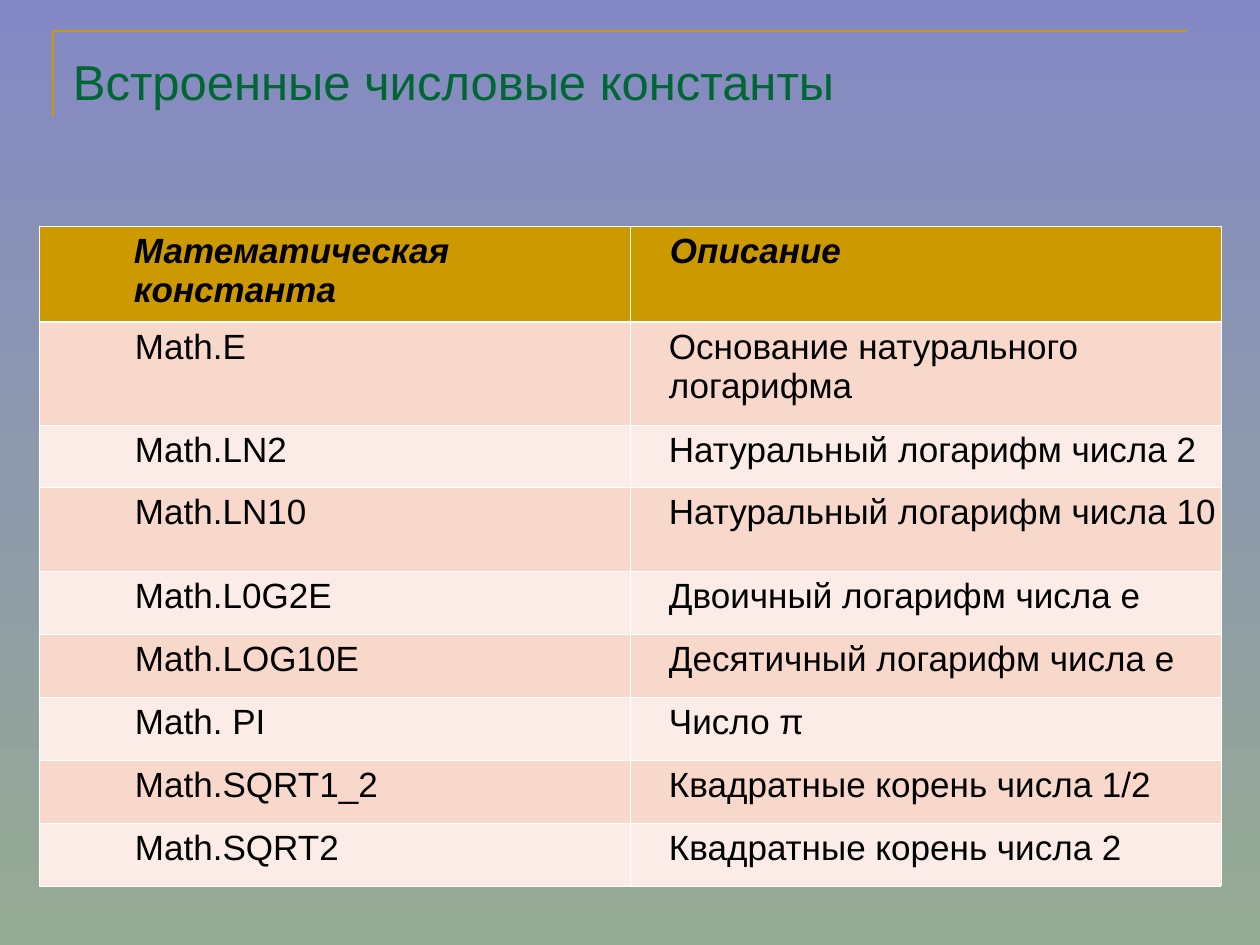
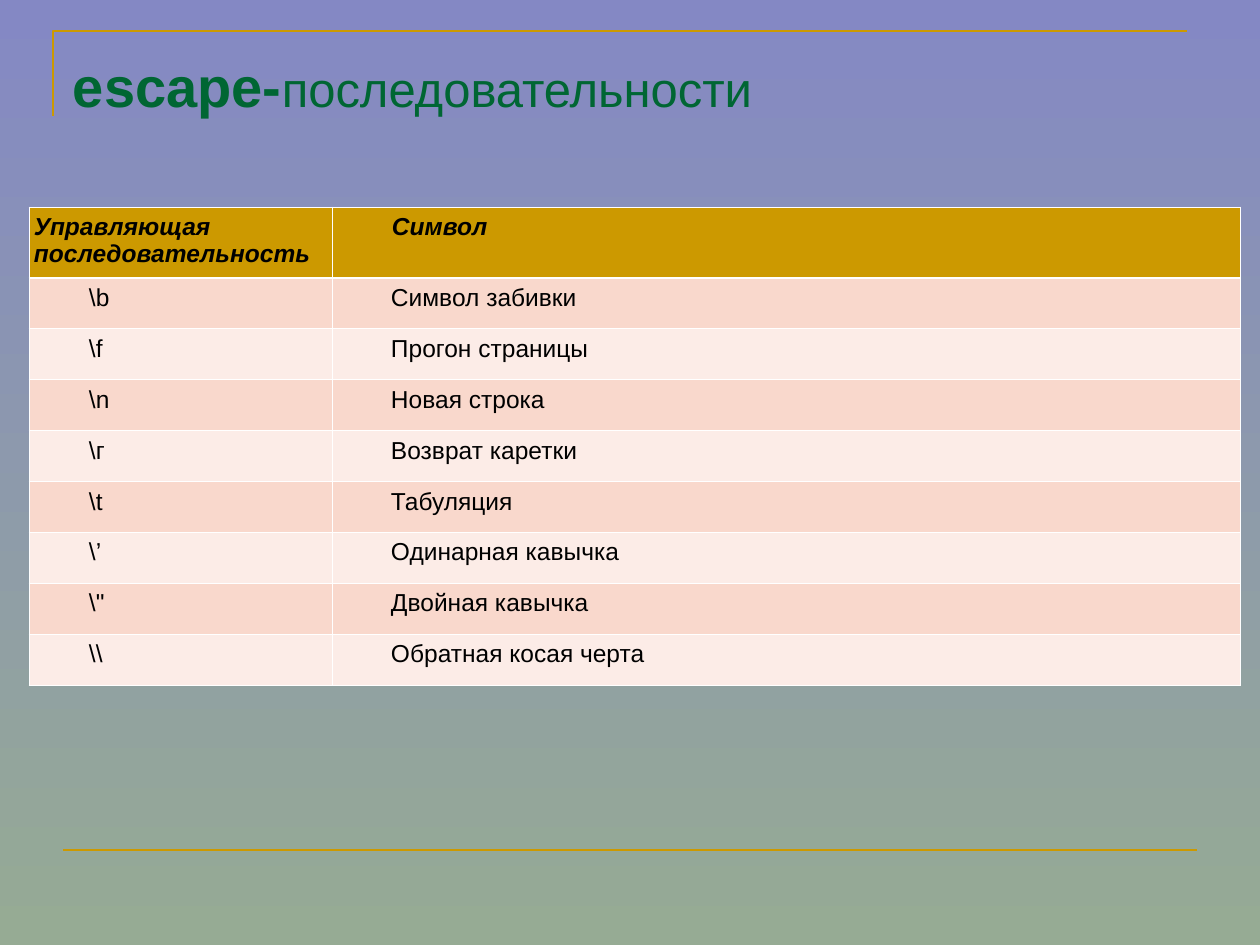
from lxml import etree
from pptx import Presentation
from pptx import util as u
from pptx.dml.color import RGBColor
from pptx.enum import shapes, text
from pptx.oxml import ns

PX = 914400 / 126
FONT = "Arial"
SKY = RGBColor(0x84, 0x88, 0xC4)
SAGE = RGBColor(0x96, 0xAB, 0x94)
GOLD = RGBColor(0xCC, 0x99, 0x00)
GREEN = RGBColor(0x00, 0x66, 0x33)
BLACK = RGBColor(0x00, 0x00, 0x00)
WHITE = RGBColor(0xFF, 0xFF, 0xFF)
BANDS = RGBColor(0xF9, 0xD8, 0xCC), RGBColor(0xFC, 0xEC, 0xE7)
THIN, THICK = u.Pt(0.45), u.Pt(1.47)

TITLE_BOX = (63, 38, 1134, 77)
FRAME_BOX = (53, 31, 1134, 85)
FOOTER_BOX = (63, 850, 1134, 0)

CONSTANTS = [
    ("Математическая константа", "Описание"),
    ("Math.E", "Основание натурального логарифма"),
    ("Math.LN2", "Натуральный логарифм числа 2"),
    ("Math.LN10", "Натуральный логарифм числа 10"),
    ("Math.L0G2E", "Двоичный логарифм числа е"),
    ("Math.LOG10E", "Десятичный логарифм числа е"),
    ("Math. PI", "Число π"),
    ("Math.SQRT1_2", "Квадратные корень числа 1/2"),
    ("Math.SQRT2", "Квадратные корень числа 2"),
]
ESCAPES = [
    ("Управляющая последовательность", "Символ"),
    (r"\b", "Символ забивки"),
    (r"\f", "Прогон страницы"),
    (r"\n", "Новая строка"),
    (r"\г", "Возврат каретки"),
    (r"\t", "Табуляция"),
    (r"\’", "Одинарная кавычка"),
    (r"\"", "Двойная кавычка"),
    (r"\\", "Обратная косая черта"),
]


def px(*lengths):
    """Turn pixel lengths into a list of EMU."""
    return [u.Emu(round(length * PX)) for length in lengths]


def add_span(para, words, size, color, bold=False, italic=False):
    span = para.add_run()
    span.text = words
    font = span.font
    font.name, font.size, font.bold, font.italic = FONT, u.Pt(size), bold, italic
    font.color.rgb = color


def style_line(line):
    line.color.rgb = GOLD
    line.width = u.Pt(1.5)


def paint_background(page):
    fill = page.background.fill
    fill.gradient()
    fill.gradient_angle = 270
    for stop, color in zip(fill.gradient_stops, (SKY, SAGE)):
        stop.color.rgb = color


def draw_frame(page, box):
    """Draw the open corner along the left and top of the box."""
    left, top, width, height = px(*box)
    outline = page.shapes.build_freeform(left, top + height)
    outline.add_line_segments([(left, top), (left + width, top)], close=False)
    corner = outline.convert_to_shape()
    corner.shadow.inherit = False
    corner.fill.background()
    style_line(corner.line)


def draw_footer(page, box):
    left, top, width, height = px(*box)
    rule = page.shapes.add_connector(
        shapes.MSO_CONNECTOR.STRAIGHT, left, top, left + width, top + height)
    etree.SubElement(rule._element.spPr, ns.qn("a:effectLst"))
    style_line(rule.line)


def write_title(page, box, spans):
    frame = page.shapes.add_textbox(*px(*box)).text_frame
    frame.word_wrap = True
    frame.vertical_anchor = text.MSO_ANCHOR.TOP
    frame.margin_left, frame.margin_top = px(10, 14)
    for words, size, bold in spans:
        add_span(frame.paragraphs[0], words, size, GREEN, bold)


def add_borders(cell, top, bottom):
    properties = cell._tc.get_or_add_tcPr()
    for side, width in zip("LRTB", (THIN, THIN, top, bottom)):
        line = etree.SubElement(properties, ns.qn(f"a:ln{side}"), w=str(int(width)))
        fill = etree.SubElement(line, ns.qn("a:solidFill"))
        etree.SubElement(fill, ns.qn("a:srgbClr"), val=str(WHITE))


def fill_cell(cell, words, row, size, indent):
    add_borders(cell, THICK if row == 1 else THIN, THICK if row == 0 else THIN)
    cell.fill.solid()
    cell.fill.fore_color.rgb = BANDS[(row - 1) % 2] if row else GOLD
    cell.margin_left, cell.margin_right = px(4, 4)
    cell.margin_top, cell.margin_bottom = px(6, 6)
    para = cell.text_frame.paragraphs[0]
    para._p.get_or_add_pPr().set("marL", str(px(indent)[0]))
    add_span(para, words, size, BLACK, bold=row == 0, italic=row == 0)


def draw_table(page, corner, columns, heights, rows, size, head_indents, indents):
    box = (*corner, sum(columns), sum(heights))
    table = page.shapes.add_table(len(rows), len(columns), *px(*box)).table
    table.horz_banding = False
    for column, width in zip(table.columns, px(*columns)):
        column.width = width
    for line, height in zip(table.rows, px(*heights)):
        line.height = height
    for row, entries in enumerate(rows):
        for column, words in enumerate(entries):
            indent = (indents if row else head_indents)[column]
            fill_cell(table.cell(row, column), words, row, size, indent)


def add_page(deck, title):
    page = deck.slides.add_slide(deck.slide_layouts[6])
    paint_background(page)
    draw_frame(page, FRAME_BOX)
    draw_footer(page, FOOTER_BOX)
    write_title(page, TITLE_BOX, title)
    return page


def main():
    deck = Presentation()
    deck.slide_width, deck.slide_height = px(1260, 945)

    page = add_page(deck, [("Встроенные числовые константы", 28, False)])
    draw_table(page, (39, 226), (591, 591), (84, 103, 62, 84) + (63,) * 5,
               CONSTANTS, 20, head_indents=(91, 36), indents=(92, 35))

    page = add_page(deck, [("escape-", 32, True), ("последовательности", 28, False)])
    draw_table(page, (29, 207), (303, 908), (59,) + (51,) * 8,
               ESCAPES, 14, head_indents=(1, 56), indents=(56, 55))

    deck.save("out.pptx")


if __name__ == "__main__":
    main()
